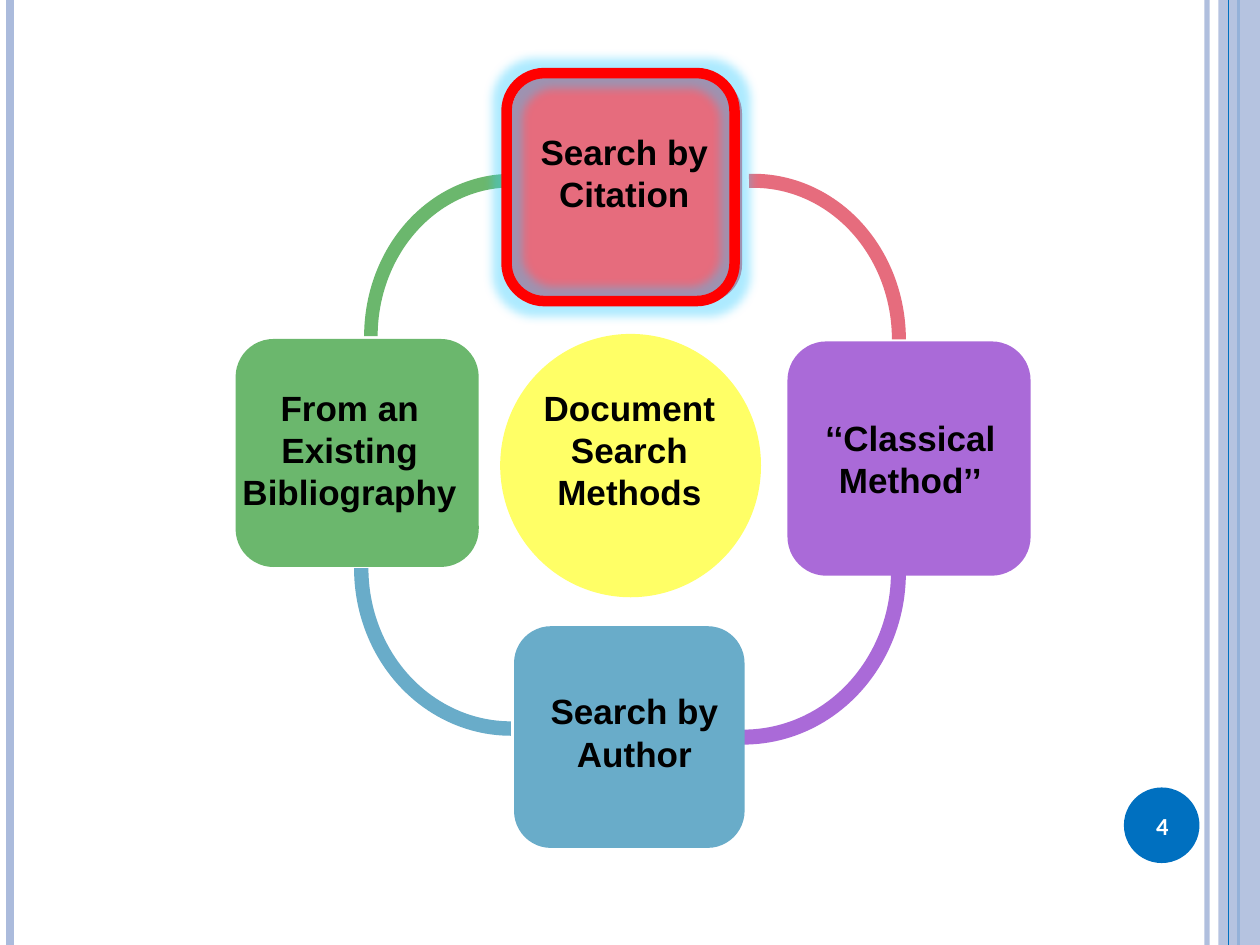
from lxml.etree import SubElement
from pptx import Presentation
from pptx.dml.color import RGBColor
from pptx.enum.shapes import MSO_CONNECTOR, MSO_SHAPE as Preset
from pptx.enum.text import MSO_ANCHOR as Anchor, PP_ALIGN as Align
from pptx.oxml.ns import qn
from pptx.util import Pt

WIDTH, HEIGHT = 720, 540
COLORS = {
    "stripe": "ABBBDC", "accent": "0070C0",
    "citation": "E66C7D", "classical": "AA6AD8",
    "author": "69ACC9", "bibliography": "6BB76D",
    "hub": "FFFF66", "highlight": "FF0000", "glow": "33CCFF",
    "text": "000000", "page": "FFFFFF",
}


def rgb(name):
    return RGBColor.from_string(COLORS[name])


def set_alpha(fill_parent, percent):
    """Make the solid colour under this element partly transparent."""
    color = next(fill_parent.iter(qn("a:srgbClr")))
    SubElement(color, qn("a:alpha"), val=str(percent * 1000))


def add_block(slide, preset, box, fill=None):
    block = slide.shapes.add_shape(preset, *map(Pt, box))
    block.shadow.inherit = False
    block.line.fill.background()
    if fill:
        block.fill.solid()
        block.fill.fore_color.rgb = rgb(fill)
    else:
        block.fill.background()
    return block


def add_stripe(slide, x, color, weight, alpha=None):
    stripe = slide.shapes.add_connector(
        MSO_CONNECTOR.STRAIGHT, Pt(x), 0, Pt(x), Pt(HEIGHT))
    stripe.line.color.rgb = rgb(color)
    stripe.line.width = Pt(weight)
    properties = stripe._element.spPr
    if alpha:
        set_alpha(properties, alpha)
    SubElement(properties, qn("a:effectLst"))


def add_arc(slide, box, start, end, color):
    """Draw a ring segment; angles are in degrees."""
    arc = add_block(slide, Preset.BLOCK_ARC, box, color)
    for index, value in enumerate((start * 0.6, end * 0.6, 0.046)):
        arc.adjustments[index] = value


def add_glow(shape, color, radius, alpha):
    effects = shape._element.spPr.find(qn("a:effectLst"))
    glow = SubElement(effects, qn("a:glow"), rad=str(Pt(radius)))
    SubElement(glow, qn("a:srgbClr"), val=COLORS[color])
    set_alpha(glow, alpha)


def write_text(shape, text, size=20, font="Arial", color="text", anchor=Anchor.TOP):
    frame = shape.text_frame
    frame.word_wrap = True
    frame.vertical_anchor = anchor
    paragraph = frame.paragraphs[0]
    paragraph.alignment = Align.CENTER
    run = paragraph.add_run()
    run.text = text
    run.font.size = Pt(size)
    run.font.name = font
    run.font.bold = True
    run.font.color.rgb = rgb(color)


def add_label(slide, box, text, **text_format):
    write_text(slide.shapes.add_textbox(*map(Pt, box)), text, **text_format)


def add_side_bands(slide):
    add_stripe(slide, 689.76, "stripe", 3, alpha=93)
    add_stripe(slide, 5.76, "stripe", 4.5)
    add_stripe(slide, 707.76, "accent", 1.5)
    band = add_block(slide, Preset.RECTANGLE, (696.24, 0, 23.76, HEIGHT), "stripe")
    set_alpha(band._element.spPr, 87)
    add_stripe(slide, 702, "accent", 0.75)
    add_block(slide, Preset.OVAL, (642.24, 450, 43.2, 43.2), "accent")


def add_cycle(slide):
    # Ring segments between the methods
    add_arc(slide, (343.44, 99.36, 174.24, 189.36), 268.41, 359.91, "citation")
    add_arc(slide, (208.08, 99.36, 168.48, 185.76), 180.09, 268.41, "bibliography")
    add_arc(slide, (202.32, 228.96, 179.28, 191.52), 90, 180, "author")
    add_arc(slide, (331.92, 228.96, 185.76, 196.56), 0, 90, "classical")

    # Hub and the four methods
    add_block(slide, Preset.OVAL, (285.84, 190.8, 149.04, 150.48), "hub")
    methods = {
        "citation": (292.32, 43.2, 131.76, 129.6),
        "classical": (450, 195.12, 138.96, 133.92),
        "author": (293.76, 357.84, 131.76, 126.72),
        "bibliography": (134.64, 193.68, 138.96, 130.32),
    }
    for method, box in methods.items():
        add_block(slide, Preset.ROUNDED_RECTANGLE, box, method)


def add_labels(slide):
    add_label(slide, (286.56, 71.28, 140.4, 55.44), "Search by Citation")
    add_label(slide, (444.24, 234.72, 151.92, 55.44), "‘‘Classical Method’’")
    author = add_block(slide, Preset.ROUNDED_RECTANGLE, (292.32, 387.36, 140.4, 61.92))
    write_text(author, "Search by Author", anchor=Anchor.MIDDLE)
    add_label(slide, (280.8, 217.44, 157.68, 79.92), "Document Search Methods")
    add_label(slide, (123.84, 217.44, 151.92, 79.92), "From an Existing Bibliography")
    add_label(slide, (640.08, 451.44, 48.24, 41.04), "4", size=14,
              font="Calibri", color="page", anchor=Anchor.MIDDLE)


def add_highlight(slide):
    frame = add_block(slide, Preset.ROUNDED_RECTANGLE, (289.44, 41.76, 130.32, 130.32))
    frame.line.color.rgb = rgb("highlight")
    frame.line.width = Pt(6)
    add_glow(frame, "glow", radius=11, alpha=40)


def main():
    deck = Presentation()
    deck.slide_width, deck.slide_height = Pt(WIDTH), Pt(HEIGHT)
    slide = deck.slides.add_slide(deck.slide_layouts[6])
    slide.background.fill.solid()
    slide.background.fill.fore_color.rgb = rgb("page")
    add_side_bands(slide)
    add_cycle(slide)
    add_labels(slide)
    add_highlight(slide)
    deck.save("out.pptx")


if __name__ == "__main__":
    main()
